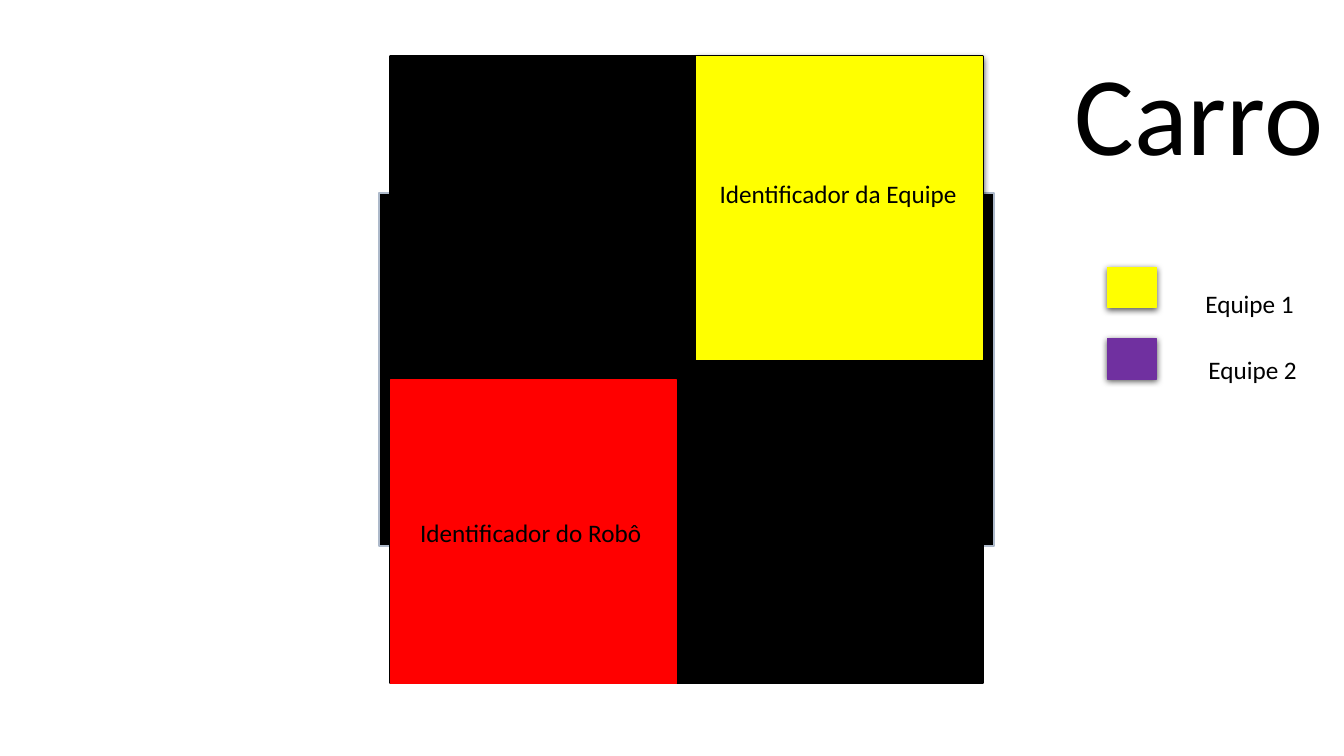
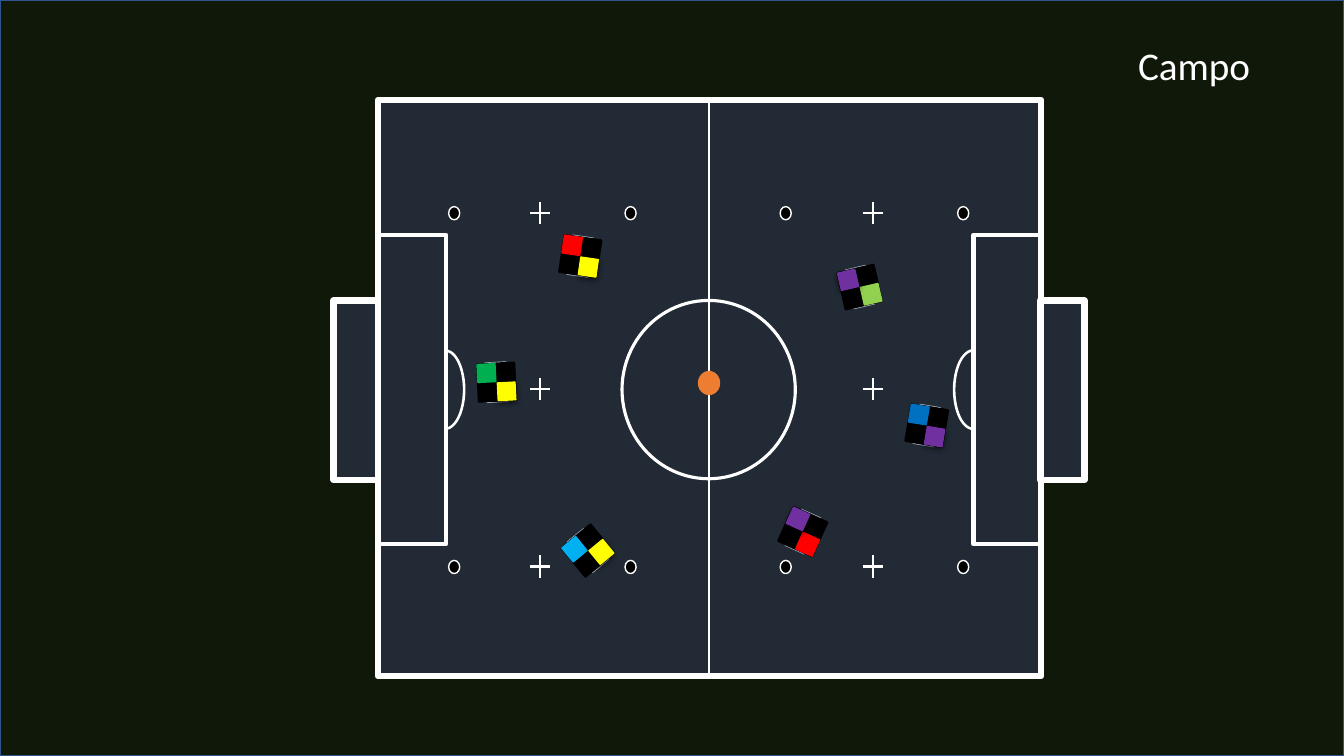
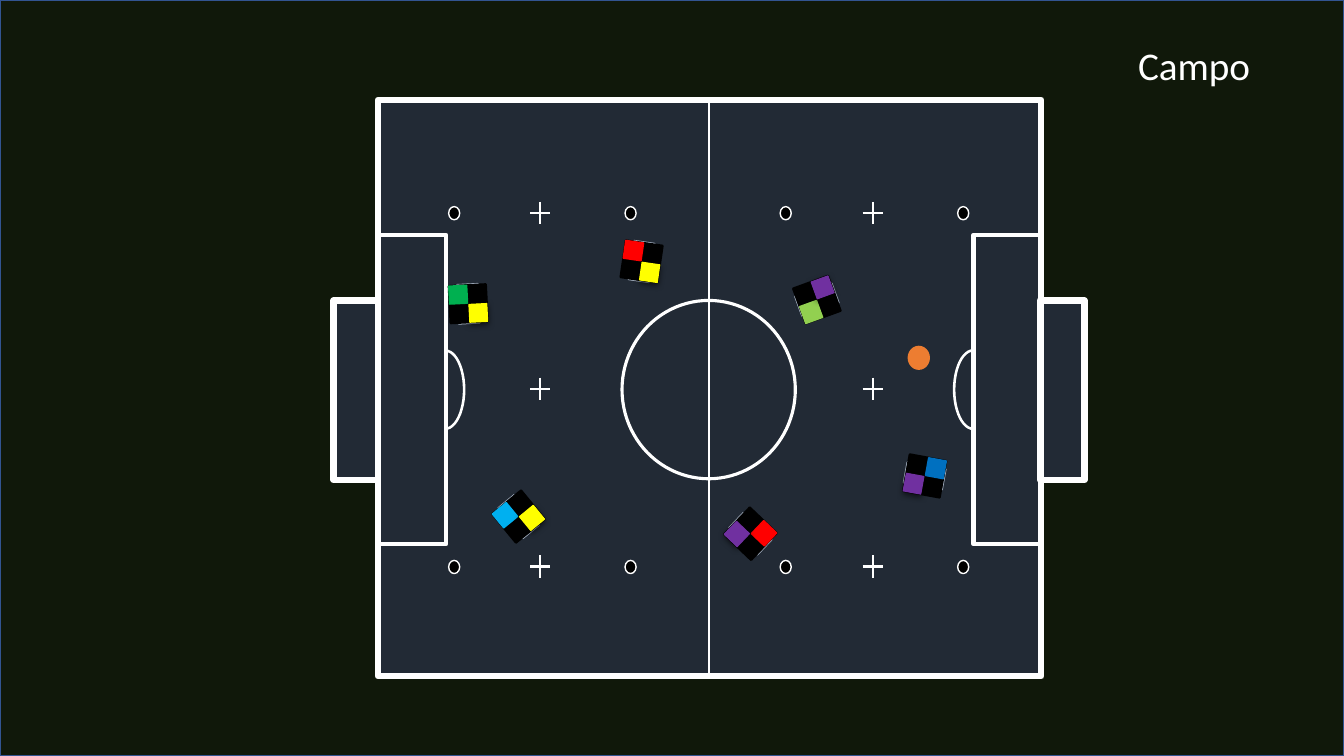
from itertools import product
from math import cos, radians, sin

from lxml.etree import SubElement
from pptx import Presentation
from pptx.dml.color import RGBColor
from pptx.enum.shapes import MSO_CONNECTOR, MSO_SHAPE
from pptx.enum.text import MSO_ANCHOR, MSO_AUTO_SIZE, PP_ALIGN
from pptx.oxml.ns import qn
from pptx.util import Pt

BLACK = RGBColor(0x00, 0x00, 0x00)
WHITE = RGBColor(0xFF, 0xFF, 0xFF)
FLOOR = RGBColor(0x10, 0x18, 0x0A)
FLOOR_EDGE = RGBColor(0x32, 0x54, 0x91)
PITCH = RGBColor(0x22, 0x2A, 0x35)
WHEEL_EDGE = RGBColor(0xAD, 0xB9, 0xCA)
ARC = RGBColor(0x44, 0x72, 0xC4)
ORANGE = RGBColor(0xED, 0x7D, 0x31)
RED = RGBColor(0xFF, 0x00, 0x00)
YELLOW = RGBColor(0xFF, 0xFF, 0x00)
PURPLE = RGBColor(0x70, 0x30, 0xA0)
GREEN = RGBColor(0x00, 0xB0, 0x50)
LIME = RGBColor(0x92, 0xD0, 0x50)
SKY = RGBColor(0x00, 0xB0, 0xF0)
BLUE = RGBColor(0x00, 0x70, 0xC0)

WIDTH, HEIGHT = 960, 540
ROBOT_SIZE = 26.6
TEXT_FORMAT = {"auto_size": MSO_AUTO_SIZE.SHAPE_TO_FIT_TEXT,
               "vertical_anchor": MSO_ANCHOR.TOP,
               "margin_left": Pt(7.2), "margin_right": Pt(7.2),
               "margin_top": Pt(3.6), "margin_bottom": Pt(3.6)}
PARAGRAPH_FORMAT = {"alignment": PP_ALIGN.LEFT, "line_spacing": 1.0,
                    "space_before": Pt(0)}

# identifier and team colour of each robot
ROBOTS = [(RED, YELLOW), (GREEN, YELLOW), (SKY, YELLOW),
          (LIME, PURPLE), (BLUE, PURPLE), (RED, PURPLE)]

# per slide: ball centre, then centre x, centre y and rotation of each robot
PLAYS = [
    ((506.5, 273.6), [(414.5, 183, 8.3), (354.7, 273, 357.1),
                      (420, 393.3, 320.6), (614, 205, 167),
                      (662, 304, 9.4), (573.4, 379.7, 204.3)]),
    ((656.3, 255.6), [(458.3, 186.8, 8.3), (334.5, 217, 357.1),
                      (370.4, 369, 320.6), (583.5, 214, 250),
                      (660.5, 340, 100.3), (536, 381.2, 133.6)]),
]


def set_all(target, values):
    """Set every attribute named in a dict."""
    for name, value in values.items():
        setattr(target, name, value)


class Deck:
    """Holds the presentation, its style and the current slide."""

    def __init__(self):
        """Start a widescreen presentation."""
        self.prs = Presentation()
        set_all(self.prs, {"slide_width": Pt(WIDTH), "slide_height": Pt(HEIGHT)})
        self.s = None

    def new_slide(self):
        """Add a title-only slide and make it current."""
        self.s = self.prs.slides.add_slide(self.prs.slide_layouts[5])

    def put_text(self, sp, text, size, color, wrap=True):
        """Put formatted text into a shape."""
        tf = sp.text_frame
        set_all(tf, TEXT_FORMAT | {"word_wrap": wrap})
        p = tf.paragraphs[0]
        set_all(p, PARAGRAPH_FORMAT)
        r = p.add_run()
        r.text = text
        set_all(r.font, {"name": "Calibri", "size": Pt(size)})
        r.font.color.rgb = color

    def title(self, text, x, y, w, h, size, color):
        """Fill the title placeholder and bring it to the front."""
        sp = self.s.shapes.title
        set_all(sp, {"left": Pt(x), "top": Pt(y),
                     "width": Pt(w), "height": Pt(h)})
        self.put_text(sp, text, size, color)
        sp.element.getparent().append(sp.element)

    def label(self, text, x, y, w, wrap=True):
        """Add a black text label."""
        sp = self.s.shapes.add_textbox(Pt(x), Pt(y), Pt(w), Pt(28.8))
        self.put_text(sp, text, 18, BLACK, wrap)

    def shape(self, kind, x, y, w, h, fill=None, line=None, weight=1.0,
              rotation=0):
        """Add a flat preset shape."""
        sp = self.s.shapes.add_shape(kind, Pt(x), Pt(y), Pt(w), Pt(h))
        sp.rotation = rotation
        sp.shadow.inherit = False
        if fill is None:
            sp.fill.background()
        else:
            sp.fill.solid()
            sp.fill.fore_color.rgb = fill
        if line is None:
            sp.line.fill.background()
        else:
            sp.line.color.rgb = line
            sp.line.width = Pt(weight)
        return sp

    def rect(self, *args, **style):
        """Add a rectangle."""
        return self.shape(MSO_SHAPE.RECTANGLE, *args, **style)

    def centered(self, kind, cx, cy, w, h, **style):
        """Add a shape around its centre."""
        return self.shape(kind, cx - w / 2, cy - h / 2, w, h, **style)

    def line(self, x1, y1, x2, y2):
        """Add a thin white field line."""
        c = self.s.shapes.add_connector(MSO_CONNECTOR.STRAIGHT,
                                        Pt(x1), Pt(y1), Pt(x2), Pt(y2))
        c.line.color.rgb = WHITE
        c.line.width = Pt(1.5)
        SubElement(c.element.spPr, qn("a:effectLst"))

    def tile(self, cx, cy, w, h, color, rotation, raised=True):
        """Add a coloured marker; a raised one casts a soft shadow."""
        sp = self.centered(MSO_SHAPE.RECTANGLE, cx, cy, w, h, fill=color,
                           line=color, weight=0.75 if raised else 1,
                           rotation=rotation)
        if raised:
            effects = sp.element.spPr.find(qn("a:effectLst"))
            shadow = SubElement(effects, qn("a:outerShdw"), blurRad=str(Pt(4.5)),
                                dist=str(Pt(1.5)), dir="5400000",
                                rotWithShape="0")
            tint = SubElement(shadow, qn("a:srgbClr"), val=str(BLACK))
            SubElement(tint, qn("a:alpha"), val="63000")

    def robot(self, cx, cy, rotation, identifier, team, w, h):
        """Add wheels, a black cover and two markers on opposite corners."""
        for bw, bh, edge in ((0.563 * w, 1.037 * h, WHEEL_EDGE), (w, h, BLACK)):
            self.centered(MSO_SHAPE.RECTANGLE, cx, cy, bw, bh, fill=BLACK,
                          line=edge, weight=1.5, rotation=rotation)
        turn = radians(rotation)
        for side, color in ((-1, identifier), (1, team)):
            dx, dy = side * 0.258 * w, side * 0.258 * h
            self.tile(cx + dx * cos(turn) - dy * sin(turn),
                      cy + dx * sin(turn) + dy * cos(turn),
                      0.484 * w, 0.483 * h, color, rotation, raised=side > 0)

    def field(self):
        """Draw the floor, the pitch and all its markings."""
        self.rect(0, 0, WIDTH, HEIGHT, fill=FLOOR, line=FLOOR_EDGE)
        for box in ((270, 71.3, 473.8, 411.8), (238.3, 214.6, 31.7, 128.2),
                    (743, 214.6, 31.7, 128.2)):
            self.rect(*box, fill=PITCH, line=WHITE, weight=4.5)
        self.line(506.2, 71.3, 506.2, 483.8)
        for x in (270, 695.3):
            self.rect(x, 167.8, 48.6, 221, line=WHITE, weight=3)
        self.centered(MSO_SHAPE.OVAL, 506.2, 278.3, 123.8, 127.4,
                      line=WHITE, weight=2.25)
        for cx, cy in product((324.4, 450.4, 561.2, 688), (152.3, 405)):
            self.centered(MSO_SHAPE.OVAL, cx, cy, 7.9, 9.4,
                          fill=BLACK, line=WHITE)
        for cx, rotation, start in ((317.9, 90, 109.72), (695.2, 270, 107.61)):
            arc = self.centered(MSO_SHAPE.BLOCK_ARC, cx, 278.3, 56.9, 28.1,
                                fill=ARC, line=WHITE, rotation=rotation)
            for i, value in enumerate((start, 0, 0.03)):
                arc.adjustments[i] = value
        for cx, cy in product((386, 623.4), (152.2, 277.7, 404.7)):
            self.line(cx, cy - 8, cx, cy + 8)
            self.line(cx - 7.2, cy, cx + 7.2, cy)


def car_slide(deck):
    """Show the top of one car and the team colours."""
    deck.new_slide()
    deck.robot(490.3, 264.2, 270, RED, YELLOW, 447.8, 423.4)
    deck.title("Carro", 760.3, 27.4, 269.3, 104.4, 80, BLACK)
    for cy, color in ((205.2, YELLOW), (256.3, PURPLE)):
        deck.tile(808.6, cy, 28.8, 34.6, color, 270)
    deck.label("Equipe 1", 853.9, 202.3, 78.5, wrap=False)
    deck.label("Equipe 2", 856.1, 249.8, 78.5, wrap=False)
    deck.label("Identificador da Equipe", 506.9, 123.8, 204.5)
    deck.label("Identificador do Robô", 293, 365.8, 204.5)


def field_slide(deck, ball, places):
    """Show the field with six robots and the ball."""
    deck.new_slide()
    deck.field()
    deck.title("Campo", 805.7, 25.9, 110.2, 41, 28, WHITE)
    for place, colors in zip(places, ROBOTS):
        deck.robot(*place, *colors, ROBOT_SIZE, ROBOT_SIZE)
    deck.centered(MSO_SHAPE.OVAL, *ball, 16, 17.3, fill=ORANGE)


deck = Deck()
car_slide(deck)
for ball, places in PLAYS:
    field_slide(deck, ball, places)
deck.prs.save("out.pptx")
